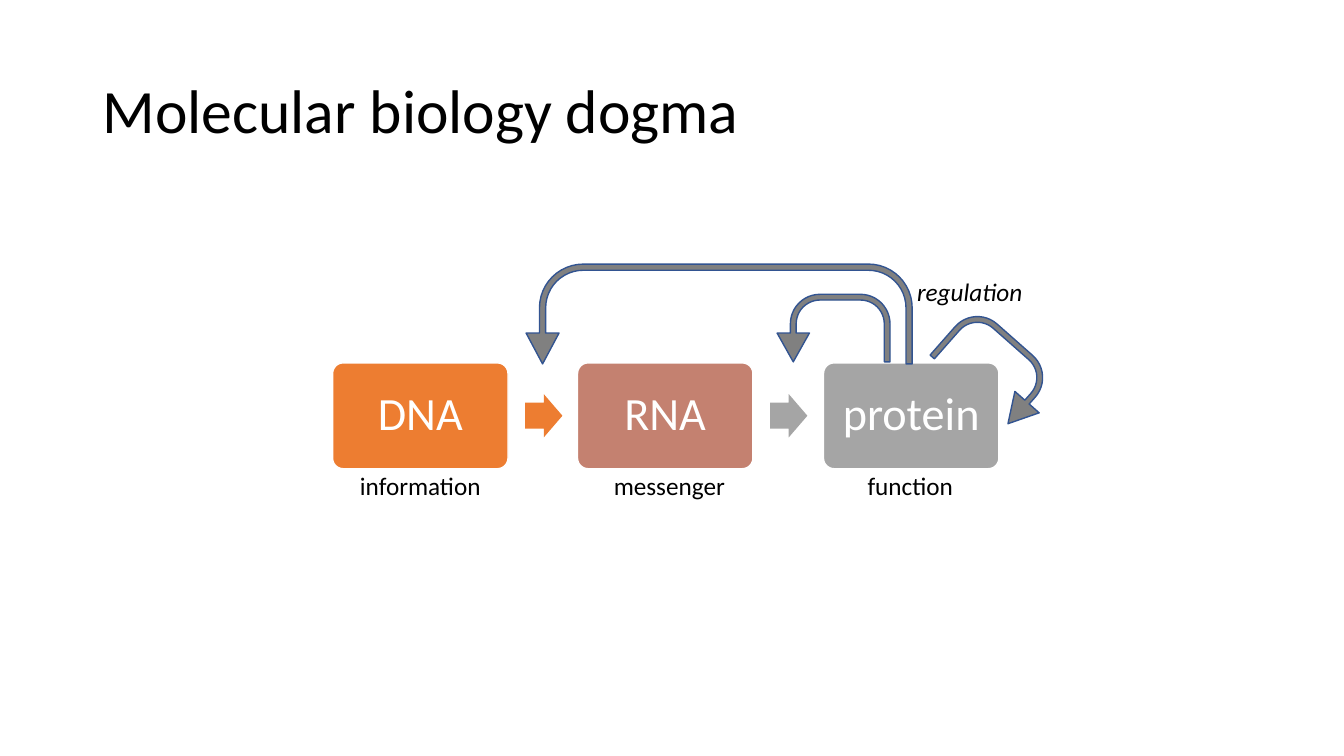
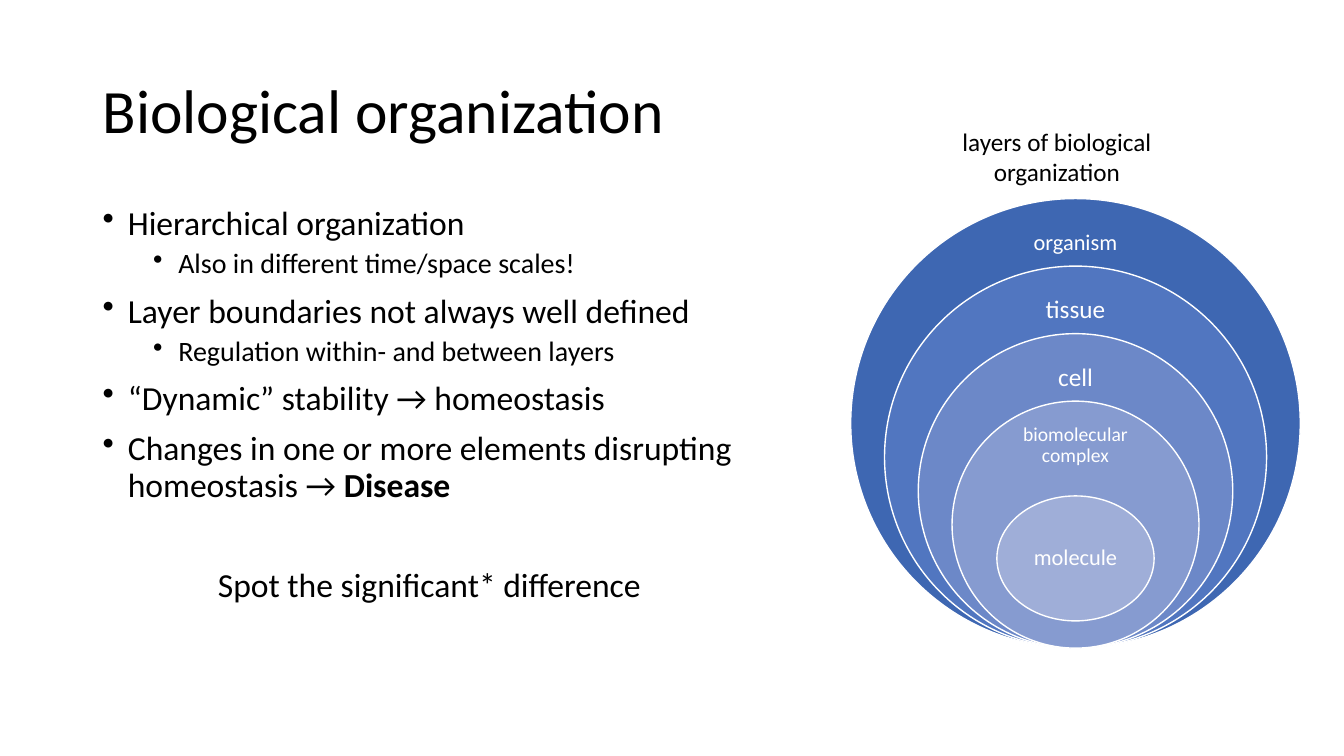
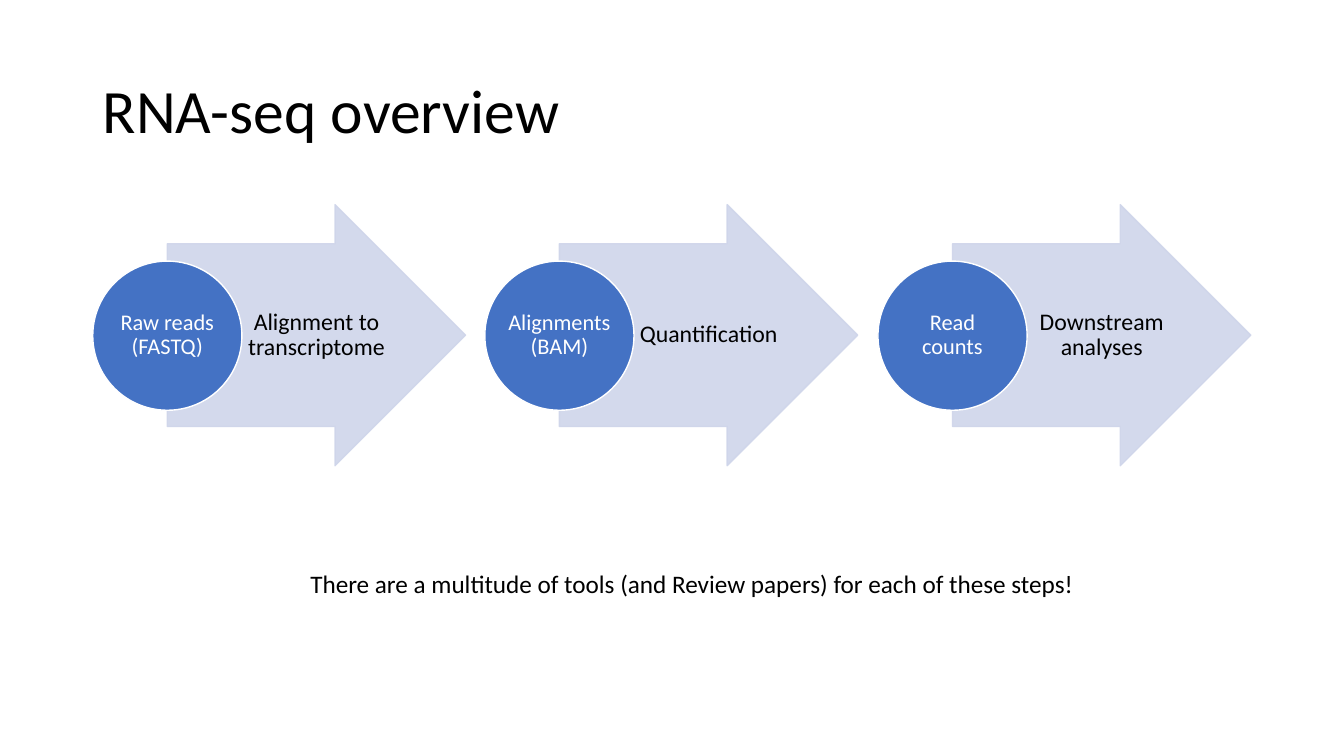
from pptx import Presentation
from pptx.dml.color import RGBColor
from pptx.enum.shapes import MSO_SHAPE as SHAPE
from pptx.enum.text import MSO_ANCHOR as ANCHOR, PP_ALIGN as ALIGN
from pptx.oxml.ns import qn
from pptx.util import Pt
from lxml.etree import SubElement

PX = 9144
FONT = "Calibri"
BLACK, WHITE = "000000", "FFFFFF"
ORANGE, ROSE, GREY = "ED7D31", "C48170", "A5A5A5"
LOOP_FILL, LOOP_LINE = "808080", "325491"
BLUE, PALE_BLUE = "4472C4", "CFD5EA"
LAYER_BLUES = ["3E67B2", "5176C0", "6C88C8", "869BD0", "9FAED8"]


def rgb(value):
    return RGBColor.from_string(value)


def emu(*lengths):
    return [round(v * PX) for v in lengths]


def write(p, text, size=18, color=BLACK, bold=False, italic=False,
          align=ALIGN.LEFT, spacing=1.0, before=0):
    p.alignment, p.line_spacing, p.space_before = align, spacing, Pt(before)
    r = p.add_run()
    r.text = text
    font = r.font
    font.name, font.size, font.bold, font.italic = FONT, Pt(size), bold, italic
    font.color.rgb = rgb(color)


def frame(sp, ins=(10, 5, 10, 5), anchor=ANCHOR.TOP):
    tf = sp.text_frame
    tf.word_wrap, tf.vertical_anchor = True, anchor
    tf.margin_left, tf.margin_top, tf.margin_right, tf.margin_bottom = emu(*ins)
    return tf


def add_text(s, box, text, ins=(10, 5, 10, 5), anchor=ANCHOR.TOP, **fmt):
    tf = frame(s.shapes.add_textbox(*emu(*box)), ins, anchor)
    write(tf.paragraphs[0], text, **fmt)


def add_shape(s, kind, box, fill, line=None, adj=(), alpha=None):
    sp = s.shapes.add_shape(kind, *emu(*box))
    sp.shadow.inherit = False
    for i, value in enumerate(adj):
        sp.adjustments[i] = value
    sp.fill.solid()
    sp.fill.fore_color.rgb = rgb(fill)
    if line:
        sp.line.color.rgb = rgb(line)
        sp.line.width = Pt(1)
    else:
        sp.line.fill.background()
    if alpha:
        for clr in sp.element.spPr.iter(qn("a:srgbClr")):
            SubElement(clr, qn("a:alpha")).set("val", str(alpha * 1000))
    return sp


def fill_text(sp, text, inset, size):
    tf = frame(sp, [inset] * 4, ANCHOR.MIDDLE)
    write(tf.paragraphs[0], text, size=size, color=WHITE,
          align=ALIGN.CENTER, spacing=0.9)


def new_slide(prs, title):
    s = prs.slides.add_slide(prs.slide_layouts[6])
    add_text(s, (92, 40, 1150, 145), title, anchor=ANCHOR.MIDDLE,
             size=44, spacing=0.9)
    return s


def stage(s, x, y, name, fill, role, role_dx, role_w, arrow_fill):
    block = add_shape(s, SHAPE.ROUNDED_RECTANGLE, (x, y, 174, 105), fill, WHITE, [0.1])
    fill_text(block, name, 14, 33)
    if arrow_fill:
        add_shape(s, SHAPE.RIGHT_ARROW, (x + 191, y + 31, 37, 43), arrow_fill,
                  adj=[0.6, 0.5])
    add_text(s, (x + role_dx, y + 102, role_w, 40), role, align=ALIGN.CENTER)


def regulation_loop(s, box, adj, rotation=0):
    sp = add_shape(s, SHAPE.U_TURN_ARROW, box, LOOP_FILL, LOOP_LINE, adj)
    if rotation:
        sp.rotation = rotation
    else:
        sp.element.spPr.get_or_add_xfrm().set("flipH", "1")


def dogma_diagram(s, x, y):
    stages = [
        ("DNA", ORANGE, "information", 14, 146, ORANGE),
        ("RNA", ROSE, "messenger", 15, 152, GREY),
        ("protein", GREY, "function", 10, 152, None),
    ]
    for i, parts in enumerate(stages):
        stage(s, x + i * 487 // 2, y, *parts)
    small = [0.085, 0.239, 0.426, 0.438, 1]
    regulation_loop(s, (x + 192, y - 98, 383, 99), [0.062, 0.165, 0.309, 0.438, 1])
    regulation_loop(s, (x + 441, y - 68, 112, 67), small)
    regulation_loop(s, (x + 600, y - 27, 119, 67), small, 41.4)
    add_text(s, (x + 556, y - 91, 152, 40), "regulation", italic=True,
             align=ALIGN.CENTER)


def bullet(p, level):
    pPr = p._p.get_or_add_pPr()
    indent, = emu(25)
    pPr.set("marL", str(indent * (1 + 2 * level)))
    pPr.set("indent", str(-indent))
    SubElement(pPr, qn("a:buChar")).set("char", "•")
    p.level = level


def bullet_list(s, box, items, closing):
    tf = frame(s.shapes.add_textbox(*emu(*box)))
    for i, (level, text, strong) in enumerate(items):
        p = tf.add_paragraph() if i else tf.paragraphs[0]
        bullet(p, level)
        fmt = dict(size=24 - 4 * level, spacing=0.9,
                   before=(10 - 5 * level) if i else 0)
        write(p, text, **fmt)
        if strong:
            write(p, strong, bold=True, **fmt)
    write(tf.add_paragraph(), closing, size=24, align=ALIGN.CENTER,
          spacing=0.9, before=46)


def nested_layers(s, x, y, size):
    add_text(s, (x + 66, y - 77, 277, 71), "layers of biological organization",
             align=ALIGN.CENTER)
    layers = [("organism", 16, 167, 12), ("tissue", 18, 164, 14),
              ("cell", 18, 162, 14), ("biomolecular complex", 14, 133, 11)]
    center = x + size / 2
    for i, (name, pt, width, inset) in enumerate(layers):
        d, top = size - 67 * i, y + 67 * i
        add_shape(s, SHAPE.OVAL, (center - d / 2, top, d, d), LAYER_BLUES[i], WHITE)
        add_text(s, (center - width / 2, top + 22, width, 44), name, [inset] * 4,
                 ANCHOR.MIDDLE, size=pt, color=WHITE, align=ALIGN.CENTER, spacing=0.9)
    core = add_shape(s, SHAPE.OVAL, (center - 78, y + 295, 156, 124),
                     LAYER_BLUES[-1], WHITE)
    fill_text(core, "molecule", 12, 16)


def pipeline_step(s, x, y, data, action):
    add_shape(s, SHAPE.RIGHT_ARROW, (x + 74, y, 296, 259), PALE_BLUE, PALE_BLUE,
              [0.7, 0.5], alpha=90)
    add_text(s, (x + 148, y + 39, 145, 181), action, (5, 1, 2, 1), ANCHOR.MIDDLE,
             size=17, align=ALIGN.CENTER, spacing=0.9)
    circle = add_shape(s, SHAPE.OVAL, (x, y + 56, 148, 148), BLUE, WHITE)
    fill_text(circle, data, 1, 16)


def dogma_slide(prs):
    s = new_slide(prs, "Molecular biology dogma")
    dogma_diagram(s, 330, 360)


def organization_slide(prs):
    s = new_slide(prs, "Biological organization")
    items = [
        (0, "Hierarchical organization", ""),
        (1, "Also in different time/space scales!", ""),
        (0, "Layer boundaries not always well defined", ""),
        (1, "Regulation within- and between layers", ""),
        (0, "“Dynamic” stability → homeostasis", ""),
        (0, "Changes in one or more elements disrupting homeostasis → ", "Disease"),
    ]
    bullet_list(s, (92, 200, 668, 476), items, "Spot the significant* difference")
    nested_layers(s, 844, 197, 446)


def overview_slide(prs):
    s = new_slide(prs, "RNA-seq overview")
    steps = [("Raw reads (FASTQ)", "Alignment to transcriptome"),
             ("Alignments (BAM)", "Quantification"),
             ("Read counts", "Downstream analyses")]
    for i, (data, action) in enumerate(steps):
        pipeline_step(s, 92 + i * 779 // 2, 203, data, action)
    add_text(s, (298, 559, 787, 71),
             "There are a multitude of tools (and Review papers) for each of these steps!")


def main():
    prs = Presentation()
    prs.slide_width, prs.slide_height = emu(1333.33, 750)
    dogma_slide(prs)
    organization_slide(prs)
    overview_slide(prs)
    prs.save("out.pptx")


if __name__ == "__main__":
    main()
